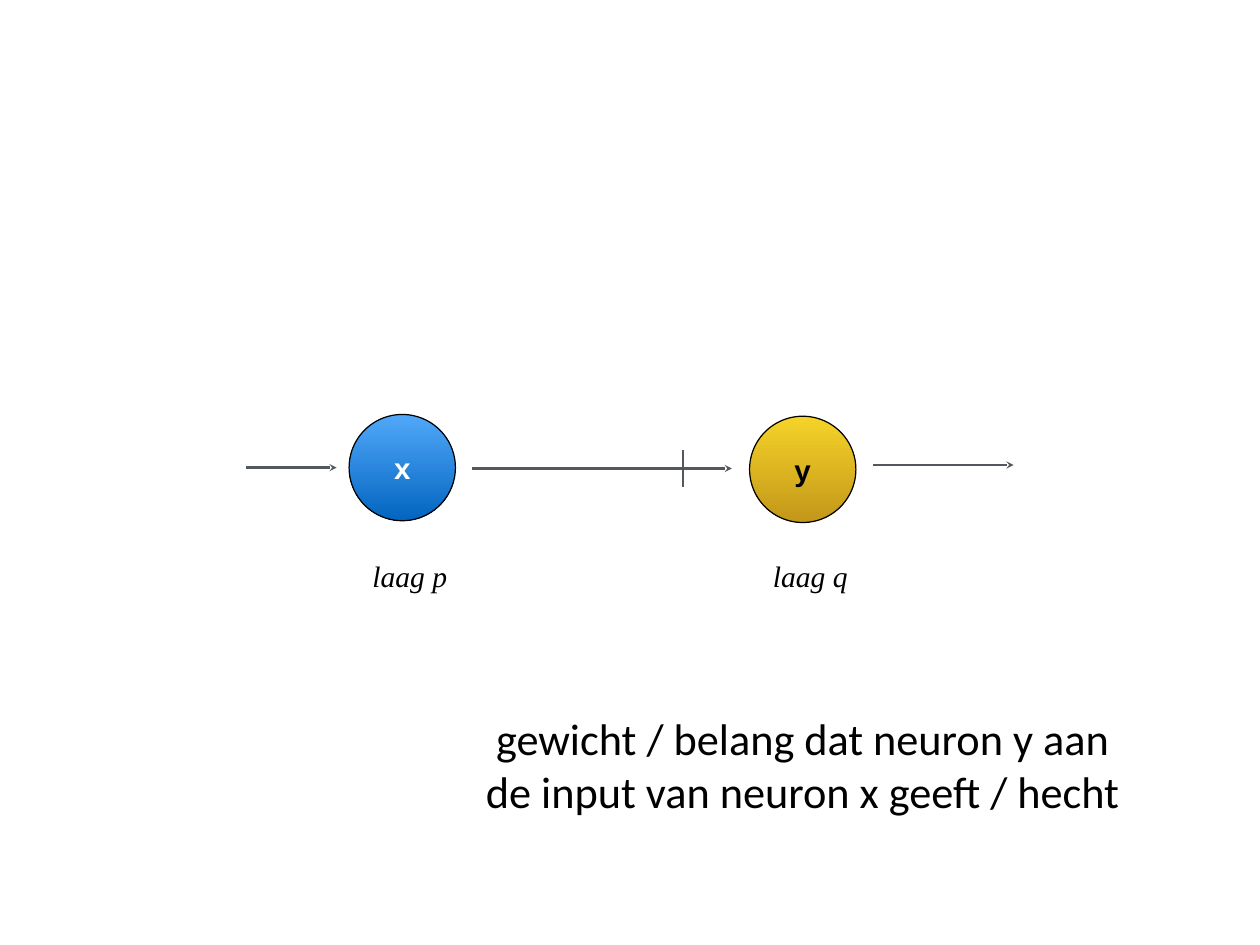
from dataclasses import dataclass

from lxml import etree
from pptx import Presentation
from pptx.dml.color import RGBColor
from pptx.enum import shapes, text
from pptx.oxml import ns
from pptx.util import Inches, Pt

BLACK = RGBColor(0x00, 0x00, 0x00)
WHITE = RGBColor(0xFF, 0xFF, 0xFF)
GRAY = RGBColor(0x53, 0x58, 0x5F)
SKY = RGBColor(0x51, 0xA8, 0xF9)
BLUE = RGBColor(0x03, 0x65, 0xC0)
YELLOW = RGBColor(0xF5, 0xD3, 0x28)
GOLD = RGBColor(0xC3, 0x97, 0x1A)

SIZE = 1.2
INSET = 0.06


@dataclass
class Neuron:
    name: str
    left: float
    top: float
    light: RGBColor
    dark: RGBColor
    ink: RGBColor


@dataclass
class Line:
    x1: float
    y1: float
    x2: float
    y2: float
    arrow: bool = True


@dataclass
class Label:
    words: str
    left: float
    top: float
    width: float
    height: float
    font: str
    size: int
    italic: bool = False
    wrap: bool = False


NEURONS = [
    Neuron("x", 3.94, 4.68, SKY, BLUE, WHITE),
    Neuron("y", 8.46, 4.7, YELLOW, GOLD, BLACK),
]
LINES = [
    Line(2.78, 5.28, 3.8, 5.28),
    Line(5.33, 5.29, 8.26, 5.29),
    Line(9.85, 5.25, 11.44, 5.25),
    Line(7.71, 5.5, 7.71, 5.08, arrow=False),
]
LABELS = [
    Label("laag p", 4.14, 6.26, 0.97, 0.47, "Times New Roman", 24, italic=True),
    Label("laag q", 8.66, 6.26, 0.97, 0.47, "Times New Roman", 24, italic=True),
    Label("gewicht / belang dat neuron y aan de input van neuron x geeft / hecht",
          5.26, 7.97, 7.6, 1.32, "Calibri", 36, wrap=True),
]


def write(shape, words: str, font: str, size: int, ink: RGBColor):
    frame = shape.text_frame
    frame.margin_left = frame.margin_right = Inches(INSET)
    frame.margin_top = frame.margin_bottom = Inches(INSET)
    frame.vertical_anchor = text.MSO_ANCHOR.MIDDLE
    frame.text = words
    para = frame.paragraphs[0]
    para.alignment = text.PP_ALIGN.CENTER
    face = para.runs[0].font
    face.name, face.size = font, Pt(size)
    face.color.rgb = ink
    return face


def draw_line(slide, line: Line) -> None:
    link = slide.shapes.add_connector(
        shapes.MSO_CONNECTOR.STRAIGHT,
        Inches(line.x1), Inches(line.y1), Inches(line.x2), Inches(line.y2))
    link.line.color.rgb = GRAY
    link.line.width = Pt(2)
    props = link._element.spPr
    if line.arrow:
        stroke = props.find(ns.qn("a:ln"))
        etree.SubElement(stroke, ns.qn("a:tailEnd"), type="stealth")
    etree.SubElement(props, ns.qn("a:effectLst"))


def draw_neuron(slide, cell: Neuron) -> None:
    disc = slide.shapes.add_shape(
        shapes.MSO_SHAPE.OVAL, Inches(cell.left), Inches(cell.top),
        Inches(SIZE), Inches(SIZE))
    disc.shadow.inherit = False
    disc.fill.gradient()
    disc.fill.gradient_angle = 270
    for stop, color, place in zip(
            disc.fill.gradient_stops, (cell.light, cell.dark), (0, 1)):
        stop.color.rgb = color
        stop.position = place
    disc.line.color.rgb = BLACK
    disc.line.width = Pt(1)
    write(disc, cell.name, "Arial", 24, cell.ink).bold = True


def draw_label(slide, label: Label) -> None:
    box = slide.shapes.add_textbox(
        Inches(label.left), Inches(label.top),
        Inches(label.width), Inches(label.height))
    face = write(box, label.words, label.font, label.size, BLACK)
    face.italic = label.italic
    box.text_frame.word_wrap = label.wrap
    box.text_frame.auto_size = text.MSO_AUTO_SIZE.SHAPE_TO_FIT_TEXT


def main() -> None:
    deck = Presentation()
    deck.slide_width, deck.slide_height = Inches(14.22), Inches(10.67)
    slide = deck.slides.add_slide(deck.slide_layouts[6])
    for line in LINES:
        draw_line(slide, line)
    for cell in NEURONS:
        draw_neuron(slide, cell)
    for label in LABELS:
        draw_label(slide, label)
    deck.save("out.pptx")


if __name__ == "__main__":
    main()
